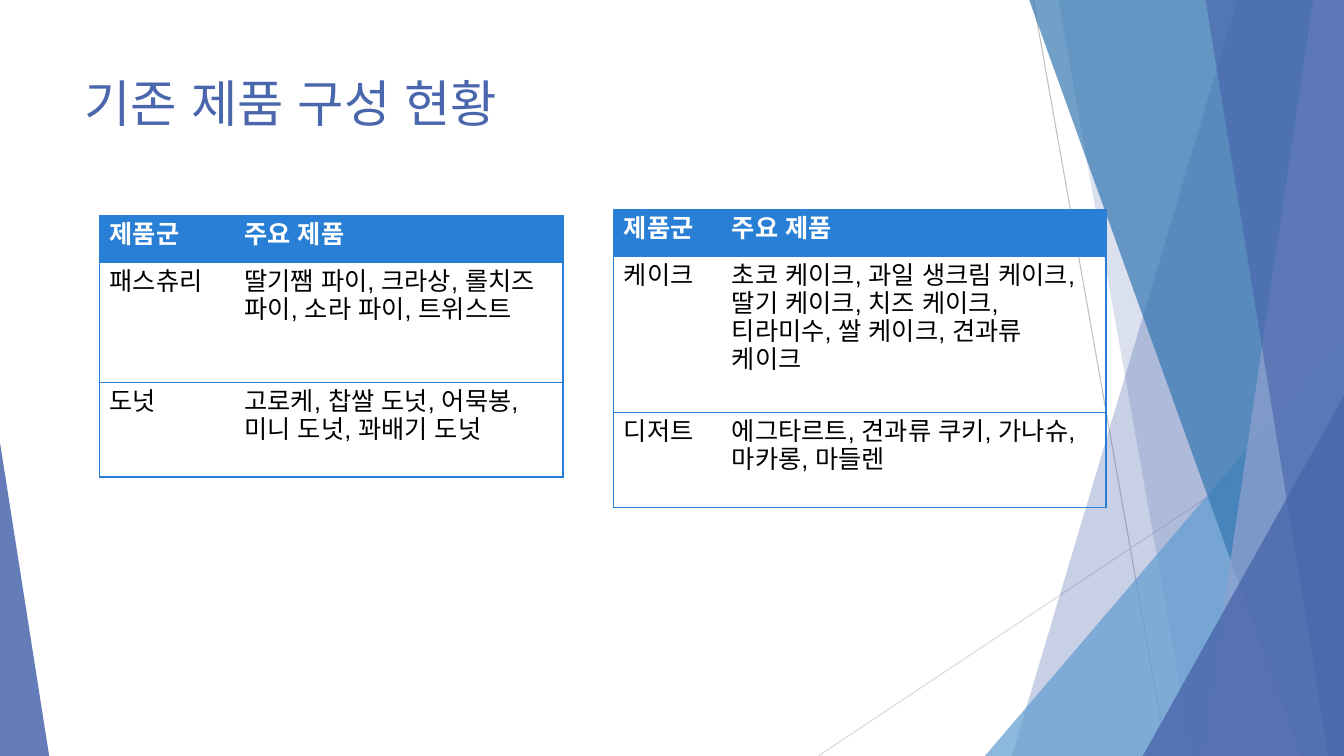
from lxml.etree import SubElement
from pptx import Presentation
from pptx.dml.color import RGBColor
from pptx.enum.lang import MSO_LANGUAGE_ID
from pptx.enum.shapes import MSO_CONNECTOR, MSO_SHAPE
from pptx.enum.text import MSO_ANCHOR
from pptx.oxml.ns import qn
from pptx.util import Cm, Pt

WIDTH, HEIGHT = 33.87, 19.05
COLORS = {
    "indigo": "4A66AC", "sky": "629DD1", "steel": "3477B2", "lavender": "90A2CF",
    "table": "297FD5", "white": "FFFFFF", "black": "000000",
    "gray": "BFBFBF", "light_gray": "D9D9D9",
}
PLAIN_TABLE = "{2D5ABB26-0587-4C30-8999-92F81FD0307C}"


class Deck:
    font = "Arial"

    def __init__(self):
        self.prs = Presentation()
        self.prs.slide_width, self.prs.slide_height = Cm(WIDTH), Cm(HEIGHT)
        self.s = self.prs.slides.add_slide(self.prs.slide_layouts[6])

    def color(self, name):
        return RGBColor.from_string(COLORS[name])

    def line(self, x1, y1, x2, y2, color):
        sp = self.s.shapes.add_connector(
            MSO_CONNECTOR.STRAIGHT, Cm(x1), Cm(y1), Cm(x2), Cm(y2))
        sp.line.color.rgb = self.color(color)
        sp.line.width = Pt(0.75)
        SubElement(sp._element.spPr, qn("a:effectLst"))

    def paint(self, sp, color, opacity):
        """Fill a shape with a see-through colour, without line or shadow."""
        sp.shadow.inherit = False
        sp.line.fill.background()
        sp.fill.solid()
        sp.fill.fore_color.rgb = self.color(color)
        clr = sp._element.spPr.find(qn("a:solidFill"))[0]
        SubElement(clr, qn("a:alpha"), val=str(opacity * 1000))

    def band(self, top_x, bottom_x, color, opacity):
        """Draw a full-height facet from a slanted left edge to the slide's right edge."""
        top = Cm(-0.02)
        fb = self.s.shapes.build_freeform(Cm(top_x), top)
        fb.add_line_segments([(Cm(WIDTH), top), (Cm(WIDTH), Cm(HEIGHT)),
                              (Cm(bottom_x), Cm(HEIGHT))], close=True)
        self.paint(fb.convert_to_shape(), color, opacity)

    def triangle(self, x, y, w, apex, color, opacity):
        """Draw a triangle that stands on the slide's bottom edge."""
        sp = self.s.shapes.add_shape(
            MSO_SHAPE.ISOSCELES_TRIANGLE, Cm(x), Cm(y), Cm(w), Cm(HEIGHT - y))
        sp.adjustments[0] = apex
        self.paint(sp, color, opacity)

    def style(self, tf, size, color, bold=False):
        for p in tf.paragraphs:
            for r in p.runs:
                r.font.name, r.font.size, r.font.bold = self.font, Pt(size), bold
                r.font.color.rgb = self.color(color)
                r.font.language_id = MSO_LANGUAGE_ID.KOREAN
                SubElement(r._r.get_or_add_rPr(), qn("a:ea"), typeface=self.font)

    def title(self, x, y, w, h, text):
        tf = self.s.shapes.add_textbox(Cm(x), Cm(y), Cm(w), Cm(h)).text_frame
        tf.word_wrap = True
        tf.vertical_anchor = MSO_ANCHOR.TOP
        tf.text = text
        self.style(tf, 36, "indigo")

    def borders(self, cell, sides):
        tcPr = cell._tc.get_or_add_tcPr()
        for side in sides:
            ln = SubElement(tcPr, qn(f"a:ln{side}"), w=str(Pt(1)))
            fill = SubElement(ln, qn("a:solidFill"))
            SubElement(fill, qn("a:srgbClr"), val=COLORS["table"])

    def table(self, x, y, widths, heights, rows):
        frame = self.s.shapes.add_table(
            len(rows), len(widths), Cm(x), Cm(y), Cm(sum(widths)), Cm(sum(heights)))
        tbl = frame.table
        tbl.horz_banding = False
        tbl._tbl.tblPr.find(qn("a:tableStyleId")).text = PLAIN_TABLE
        for col, w in zip(tbl.columns, widths):
            col.width = Cm(w)
        for i, (row, h) in enumerate(zip(rows, heights)):
            tbl.rows[i].height = Cm(h)
            for j, text in enumerate(row):
                cell = tbl.cell(i, j)
                cell.text = text
                self.borders(cell, ("L" if j == 0 else "R", "T", "B"))
                if i == 0:
                    cell.fill.solid()
                    cell.fill.fore_color.rgb = self.color("table")
                else:
                    cell.fill.background()
                self.style(cell.text_frame, 18, "black" if i else "white", i == 0)


def main():
    deck = Deck()
    deck.line(26.04, 0, 29.41, HEIGHT, "gray")
    deck.line(WIDTH, 10.24, 20.62, HEIGHT, "light_gray")
    deck.band(31.19, 25.5, "indigo", 30)
    deck.band(26.67, 30.05, "indigo", 20)
    deck.triangle(24.82, 8.46, 9.05, 1, "sky", 72)
    deck.band(25.93, 32.79, "steel", 70)
    deck.band(33.1, 30.28, "lavender", 70)
    deck.band(30.38, 33.48, "indigo", 65)
    deck.triangle(28.8, 9.98, 5.07, 1, "indigo", 80)
    deck.triangle(0, 11.15, 1.24, 0, "indigo", 85)

    deck.title(1.88, 1.7, 23.88, 3.66, "기존 제품 구성 현황")

    header = ("제품군", "주요 제품")
    header_h, last_h = 1.18, 2.39
    deck.table(2.51, 5.44, (3.4, 8.28), (header_h, 3.01, last_h), [
        header,
        ("패스츄리", "딸기쨈 파이, 크라상, 롤치즈 파이, 소라 파이, 트위스트"),
        ("도넛", "고로케, 찹쌀 도넛, 어묵봉, 미니 도넛, 꽈배기 도넛"),
    ])
    deck.table(15.47, 5.28, (2.72, 9.68), (header_h, 3.93, last_h), [
        header,
        ("케이크", "초코 케이크, 과일 생크림 케이크, 딸기 케이크, 치즈 케이크, "
                "티라미수, 쌀 케이크, 견과류 케이크"),
        ("디저트", "에그타르트, 견과류 쿠키, 가나슈, 마카롱, 마들렌"),
    ])
    deck.prs.save("out.pptx")


if __name__ == "__main__":
    main()
